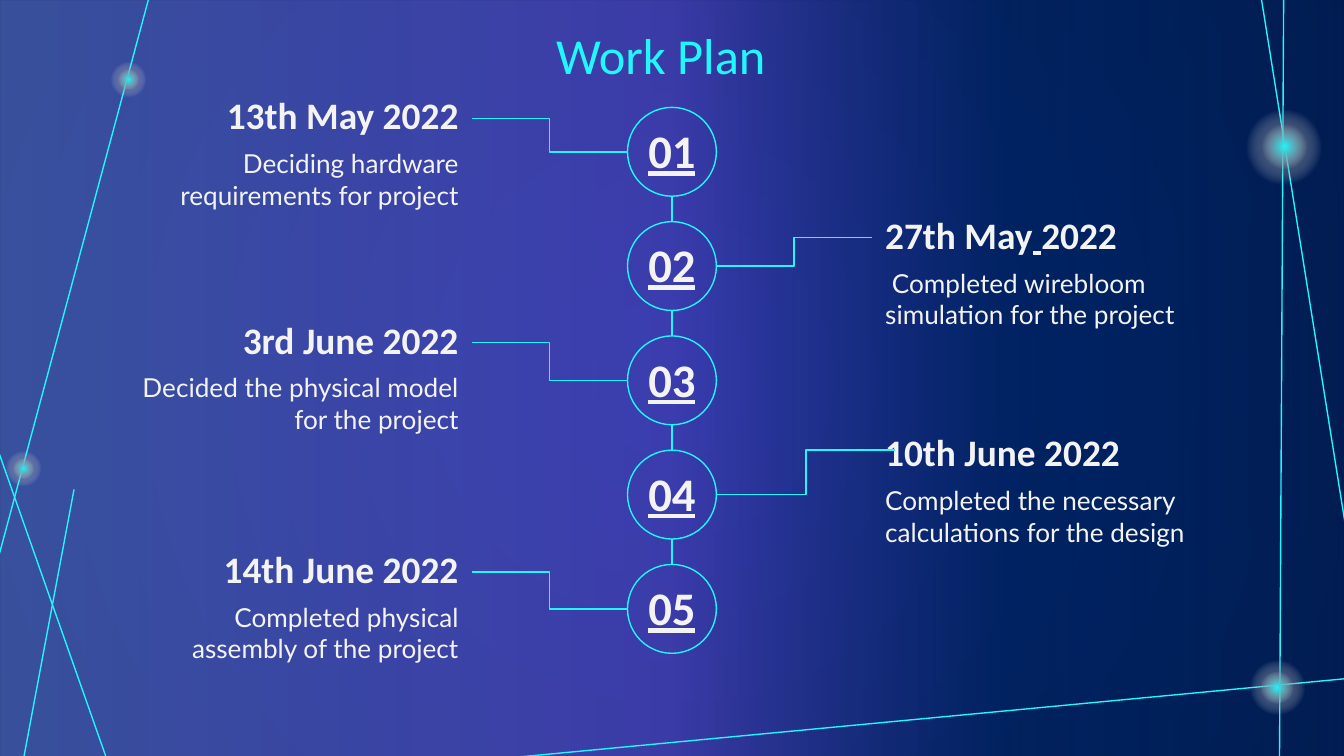
from lxml.etree import SubElement
from pptx import Presentation
from pptx.dml.color import RGBColor
from pptx.enum.shapes import MSO_CONNECTOR as LINK, MSO_SHAPE as SHAPE
from pptx.enum.text import MSO_ANCHOR as ANCHOR, PP_ALIGN as ALIGN
from pptx.oxml.ns import qn
from pptx.util import Cm, Pt

CYAN = RGBColor(0x20, 0xF8, 0xFD)
WHITE = RGBColor(0xF3, 0xF3, 0xF3)
NAVY = RGBColor(0x01, 0x20, 0x60)
MIDNIGHT = RGBColor(0x00, 0x18, 0x3A)
PERIWINKLE = RGBColor(0x74, 0x8B, 0xFF)
VIOLET = RGBColor(0x76, 0x59, 0xFF)
ROYAL = RGBColor(0x02, 0x2E, 0x88)

NUMBER = {"size": Pt(25), "name": "Calibri", "bold": True}
DATE = {"size": Pt(20), "name": "Calibri", "bold": True}
DETAIL = {"size": Pt(14), "name": "Lato"}
HEADING = {"size": Pt(27), "name": "Calibri"}


def paint_gradient(fill, stops, radial):
    fill.gradient()
    gradient = fill._xPr.find(qn("a:gradFill"))
    for child in list(gradient):
        gradient.remove(child)
    stop_list = SubElement(gradient, qn("a:gsLst"))
    for position, color, opacity in stops:
        stop = SubElement(stop_list, qn("a:gs"), pos=str(position * 1000))
        tint = SubElement(stop, qn("a:srgbClr"), val=str(color))
        SubElement(tint, qn("a:alpha"), val=str(opacity * 1000))
    if radial:
        course = SubElement(gradient, qn("a:path"), {"path": "circle"})
        SubElement(course, qn("a:fillToRect"), dict.fromkeys("ltrb", "50000"))
    else:
        SubElement(gradient, qn("a:lin"), ang="0", scaled="0")


def write(box, runs, look, color, align, anchor):
    caption = slide.shapes.add_textbox(*map(Cm, box))
    frame = caption.text_frame
    frame.word_wrap = True
    frame.vertical_anchor = anchor
    for side in ("left", "right", "top", "bottom"):
        setattr(frame, f"margin_{side}", Cm(0.25))
    frame.paragraphs[0].alignment = align
    for words, underline in runs:
        run = frame.paragraphs[0].add_run()
        run.text = words
        for key, value in look.items():
            setattr(run.font, key, value)
        run.font.underline = underline
        run.font.color.rgb = color
    return caption


deck = Presentation()
deck.slide_width, deck.slide_height = Cm(25.4), Cm(14.29)
slide = deck.slides.add_slide(deck.slide_layouts[6])
paint_gradient(slide.background.fill, [(0, NAVY, 100), (100, MIDNIGHT, 100)], True)

veil = slide.shapes.add_shape(SHAPE.RECTANGLE, 0, 0, deck.slide_width, deck.slide_height)
veil.shadow.inherit = False
veil.line.fill.background()
paint_gradient(veil.fill, [(0, PERIWINKLE, 49), (50, VIOLET, 50),
                           (75, ROYAL, 35), (100, NAVY, 60)], False)

links = []
for ray in [(23.83, -0.08, 25.45, 10.08), (24.26, -0.15, 24.18, 14.55),
            (9.58, 14.33, 25.73, 12.8), (-0.03, 8.53, 2.11, 14.61),
            (0.41, 14.53, 1.4, 9.25), (2.87, -0.25, -0.03, 10.54)]:
    links.append(slide.shapes.add_connector(LINK.STRAIGHT, *map(Cm, ray)))

for x, y, halo in [(24.27, 2.78, 2.01), (24.14, 13, 1.47),
                   (0.44, 8.85, 0.94), (2.43, 1.51, 0.94)]:
    for core, size in [(MIDNIGHT, halo), (CYAN, halo * 0.6)]:
        glow = slide.shapes.add_shape(SHAPE.OVAL, Cm(x - size / 2), Cm(y - size / 2),
                                      Cm(size), Cm(size))
        glow.shadow.inherit = False
        glow.line.fill.background()
        paint_gradient(glow.fill, [(0, core, 100), (50, WHITE, 0), (100, WHITE, 0)], True)

milestones = [
    (1.5, [("13th May 2022", False)], "Deciding hardware requirements for project"),
    (3.76, [("27th May", False), (" ", True), ("2022", False)],
     " Completed wirebloom simulation for the project"),
    (5.74, [("3rd June 2022", False)], "Decided the physical model for the project"),
    (7.87, [("10th June 2022", False)], "Completed the necessary calculations for the design"),
    (10.08, [("14th June 2022", False)], "Completed physical assembly of the project"),
]
CENTER, DIAMETER, FIRST, PITCH = 12.7, 1.68, 2.03, 2.16
RADIUS = DIAMETER / 2

for index, (top, date_runs, detail) in enumerate(milestones):
    ring_top = FIRST + index * PITCH
    middle = ring_top + RADIUS
    ring = slide.shapes.add_shape(SHAPE.OVAL, Cm(CENTER - RADIUS), Cm(ring_top),
                                  Cm(DIAMETER), Cm(DIAMETER))
    ring.shadow.inherit = False
    ring.fill.background()
    ring.line.color.rgb = CYAN
    ring.line.width = Pt(0.75)
    write((CENTER - 1.45, ring_top + 0.03, 2.9, 1.55), [(f"{index + 1:02}", True)],
          NUMBER, WHITE, ALIGN.CENTER, ANCHOR.MIDDLE)

    on_left = index % 2 == 0
    align = ALIGN.RIGHT if on_left else ALIGN.LEFT
    date = write((2.01 if on_left else 16.48, top, 6.91 if on_left else 7.11, 1.47),
                 date_runs, DATE, WHITE, align, ANCHOR.TOP)
    write((2.42 if on_left else 16.48, top + 1.04, 6.5, 1.68), [(detail, False)],
          DETAIL, WHITE, align, ANCHOR.TOP)

    if on_left:
        elbow = slide.shapes.add_connector(LINK.ELBOW, Cm(8.92), Cm(top + 0.74),
                                           Cm(CENTER - RADIUS), Cm(middle))
        elbow.begin_connect(date, 3)
    else:
        elbow = slide.shapes.add_connector(LINK.ELBOW, Cm(CENTER + RADIUS), Cm(middle),
                                           Cm(16.92), Cm(8.51))
        if index == 1:
            elbow.end_connect(date, 1)
    links.append(elbow)
    if index:
        links.append(slide.shapes.add_connector(
            LINK.STRAIGHT, Cm(CENTER), Cm(ring_top - PITCH + DIAMETER),
            Cm(CENTER), Cm(ring_top)))

for link in links:
    link.line.color.rgb = CYAN
    link.line.width = Pt(0.75)
    SubElement(link._element.spPr, qn("a:effectLst"))

write((10.26, 0.2, 5.38, 1.68), [("Work Plan", False)], HEADING, CYAN,
      ALIGN.LEFT, ANCHOR.TOP)

deck.save("out.pptx")
